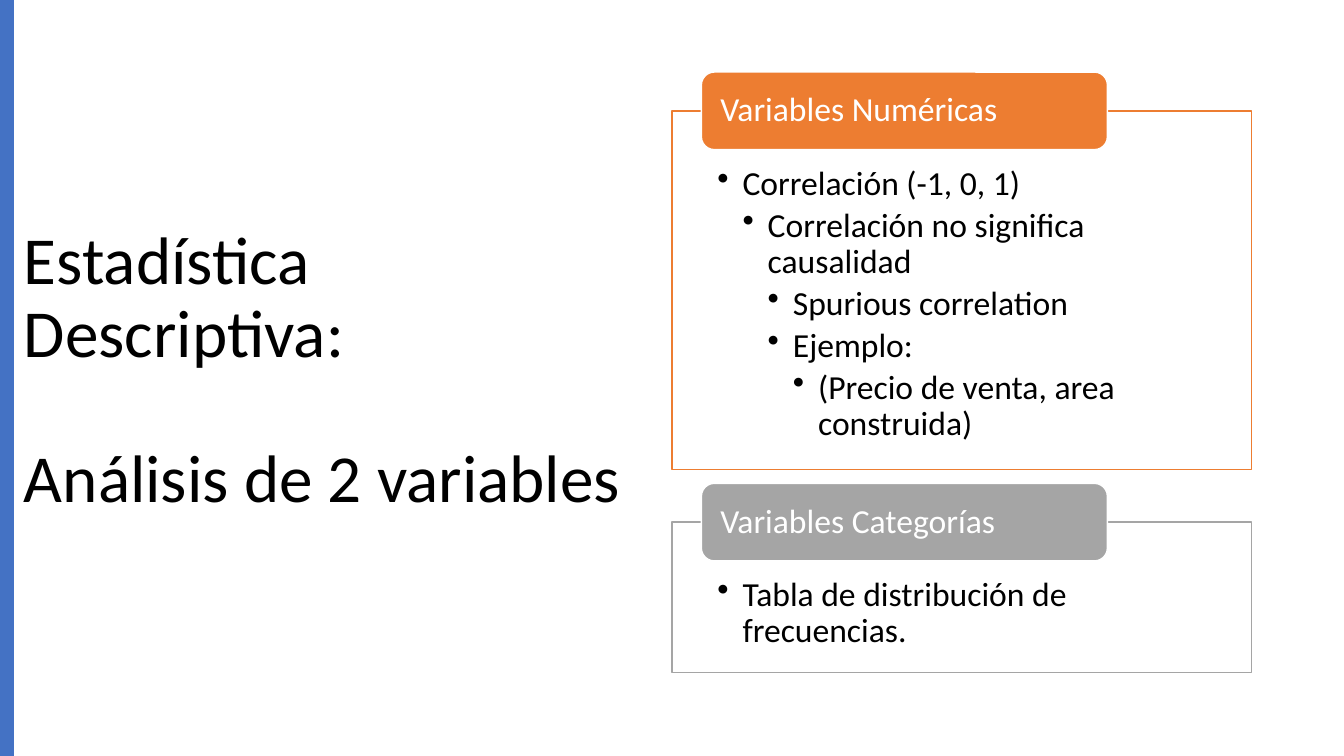
from pptx import Presentation
from pptx.dml.color import RGBColor
from pptx.enum.shapes import MSO_SHAPE
from pptx.enum.text import MSO_ANCHOR, PP_ALIGN
from pptx.oxml.ns import qn
from pptx.util import Pt
from lxml import etree

RECTANGLE = MSO_SHAPE.RECTANGLE
ROUNDED = MSO_SHAPE.ROUNDED_RECTANGLE
MIDDLE, TOP = MSO_ANCHOR.MIDDLE, MSO_ANCHOR.TOP
LEFT = PP_ALIGN.LEFT

FONT = "Calibri"
BLACK, WHITE, BLUE = "000000", "FFFFFF", "4472C4"
PANEL_LEFT, PANEL_WIDTH = 480, 414
HEADER_LEFT, HEADER_WIDTH, HEADER_HEIGHT = 501, 290, 55.4
INDENT = 18

# header, colour, top, height, bullets as (level, text)
PANELS = [
    ("Variables Numéricas", "ED7D31", 79.2, 256, [
        (1, "Correlación (-1, 0, 1)"),
        (2, "Correlación no significa causalidad"),
        (3, "Spurious correlation"),
        (3, "Ejemplo:"),
        (4, "(Precio de venta, area construida)"),
    ]),
    ("Variables Categorías", "A5A5A5", 373, 107.2, [
        (1, "Tabla de distribución de frecuencias."),
    ]),
]


def add_box(kind, left, top, width, height, fill, line=None,
            insets=(0, 0, 0, 0), anchor=TOP):
    """Add a filled shape; insets run left, top, right, bottom."""
    shape = slide.shapes.add_shape(kind, Pt(left), Pt(top), Pt(width), Pt(height))
    shape.shadow.inherit = False
    shape.fill.solid()
    shape.fill.fore_color.rgb = RGBColor.from_string(fill)
    if line:
        shape.line.color.rgb = RGBColor.from_string(line)
        shape.line.width = Pt(1)
    else:
        shape.line.fill.background()
    frame = shape.text_frame
    frame.word_wrap = True
    frame.vertical_anchor = anchor
    (frame.margin_left, frame.margin_top,
     frame.margin_right, frame.margin_bottom) = [Pt(inset) for inset in insets]
    return shape


def write_paragraph(frame, index, text, size, color, level=0):
    """Write one paragraph; a level above 0 gives it a bullet at that depth."""
    paragraph = frame.paragraphs[0] if index == 0 else frame.add_paragraph()
    paragraph.text = text
    paragraph.alignment = LEFT
    paragraph.line_spacing = 0.9
    if level:
        paragraph.level = level
        paragraph.space_after = Pt(4)
        properties = paragraph._p.get_or_add_pPr()
        properties.set("marL", str(Pt(INDENT * level)))
        properties.set("indent", str(-Pt(INDENT)))
        etree.SubElement(properties, qn("a:buChar")).set("char", "•")
    paragraph.font.name = FONT
    paragraph.font.size = Pt(size)
    paragraph.font.color.rgb = RGBColor.from_string(color)
    return paragraph


presentation = Presentation()
presentation.slide_width = Pt(960)
presentation.slide_height = Pt(540)
slide = presentation.slides.add_slide(presentation.slide_layouts[6])

# Title and side bar
title = slide.shapes.add_textbox(Pt(10), Pt(49), Pt(455), Pt(433.4)).text_frame
title.word_wrap = True
title.vertical_anchor = MIDDLE
write_paragraph(title, 0, "Estadística Descriptiva:", 48, BLACK)
subject = write_paragraph(title, 1, "Análisis de 2 variables", 48, BLACK)
subject.space_before = Pt(52)
add_box(RECTANGLE, 0, 0, 10, 540, BLUE)

# Panels, each with its header centred on the top border
for header_text, color, top, height, bullets in PANELS:
    panel = add_box(RECTANGLE, PANEL_LEFT, top, PANEL_WIDTH, height, WHITE,
                    color, (32.4, 39.6, 32.4, 13.7))
    panel_fill = panel.fill._xPr.find(qn("a:solidFill"))
    etree.SubElement(panel_fill[0], qn("a:alpha")).set("val", "90000")
    for index, (level, text) in enumerate(bullets):
        write_paragraph(panel.text_frame, index, text, 24, BLACK, level)

    header = add_box(ROUNDED, HEADER_LEFT, top - HEADER_HEIGHT / 2, HEADER_WIDTH,
                     HEADER_HEIGHT, color, WHITE, (10.8, 0, 10.8, 0), MIDDLE)
    write_paragraph(header.text_frame, 0, header_text, 24, WHITE)

presentation.save("out.pptx")
